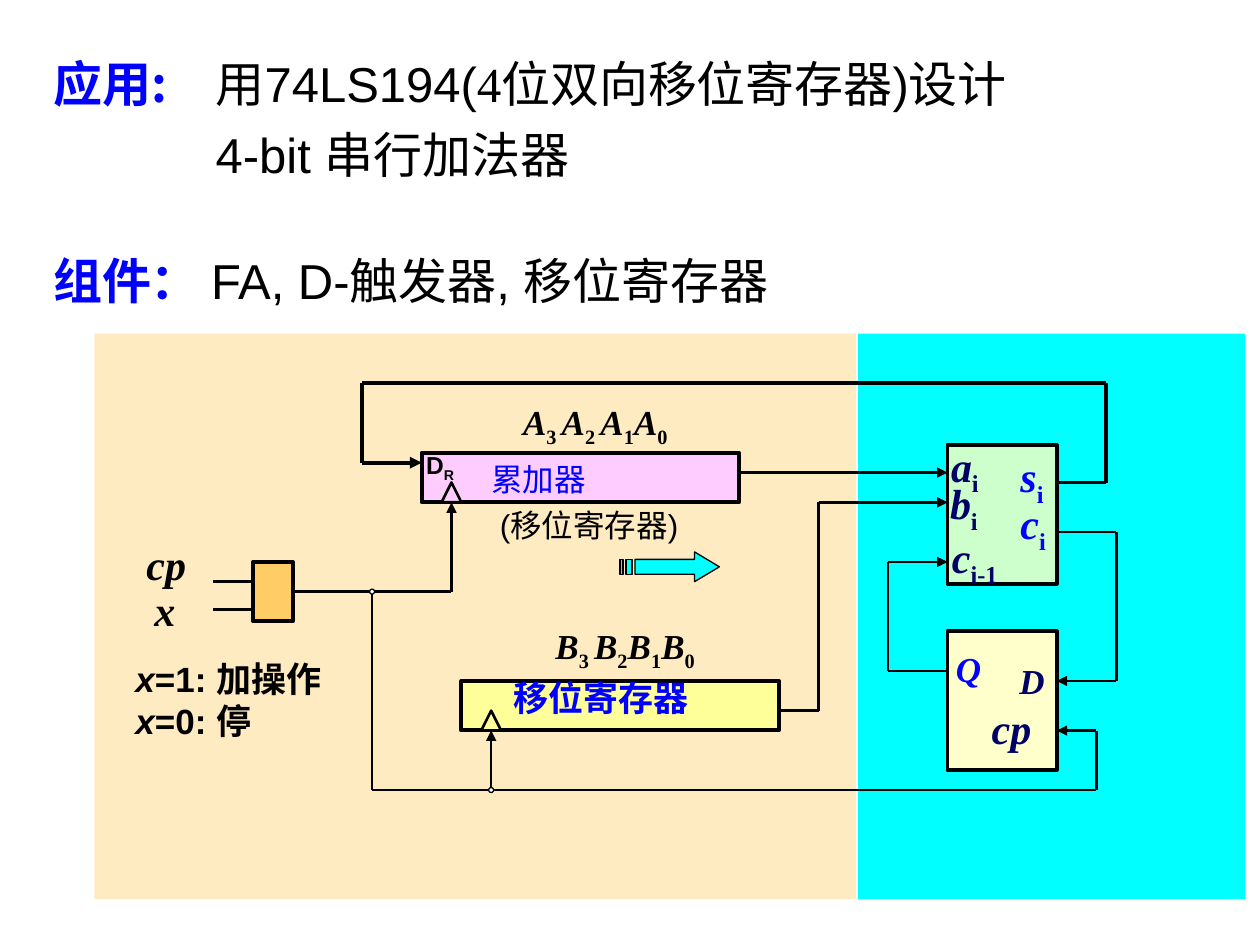
import itertools

import lxml.etree
import pptx
import pptx.dml.color
import pptx.enum.shapes
import pptx.enum.text
import pptx.oxml.ns
import pptx.util

SHAPE = pptx.enum.shapes.MSO_SHAPE
CENTER = pptx.enum.text.PP_ALIGN.CENTER
qn = pptx.oxml.ns.qn
UNIT = pptx.util.Mm(2)  # one column or row of the drawing grid
LEFT, TOP = pptx.util.Inches(0.04), pptx.util.Inches(0.05)

SERIF, SANS, CJK = "Times New Roman", "Arial", "Noto Sans CJK SC"
THEME = {
    "black": "000000", "white": "FFFFFF", "blue": "0000FF", "navy": "000066",
    "sand": "FFEBC2", "cyan": "00FFFF", "mint": "CCFFCC", "cream": "FFFFCC",
    "pink": "FFCCFF", "yellow": "FFFF99", "orange": "FFCC66",
    "thin": 0.75, "wire": 1.5, "heavy": 2.25,
    "heading": {"name": CJK, "size": 28, "bold": True, "color": "blue"},
    "symbol": {"name": SERIF, "size": 24, "bold": True, "italic": True, "color": "black"},
    "note": {"name": SANS, "size": 20, "bold": True, "color": "black"},
    "caption": {"name": SANS, "size": 18, "color": "blue"},
    "pin": {"name": SANS, "size": 14, "bold": True, "color": "black"},
}
SUB = {"italic": False, "base": -25}
ITALIC = {"italic": True}
NAVY, BLUE = {"color": "navy"}, {"color": "blue"}
BODY = {"bold": False, "color": "black"}
BODY_SANS = BODY | {"name": SANS}

deck = pptx.Presentation()
deck.slide_width, deck.slide_height = pptx.util.Inches(10), pptx.util.Inches(7.5)
page = deck.slides.add_slide(deck.slide_layouts[6])


def box(kind, col, row, cols, rows, fill, weight=None):
    shape = page.shapes.add_shape(kind, int(LEFT + col * UNIT), int(TOP + row * UNIT),
                                  int(cols * UNIT), int(rows * UNIT))
    shape.shadow.inherit = False
    shape.fill.solid()
    shape.fill.fore_color.rgb = pptx.dml.color.RGBColor.from_string(THEME[fill])
    if weight:
        shape.line.color.rgb = pptx.dml.color.RGBColor.from_string(THEME["black"])
        shape.line.width = pptx.util.Pt(THEME[weight])
    else:
        shape.line.fill.background()
    return shape


def label(col, row, cols, rows, style, paragraphs, align=None, gap=0, inset=0.1):
    frame = page.shapes.add_textbox(int(LEFT + col * UNIT), int(TOP + row * UNIT),
                                    int(cols * UNIT), int(rows * UNIT)).text_frame
    frame.word_wrap = True
    frame.margin_left = frame.margin_right = pptx.util.Inches(inset)
    for number, spans in enumerate(paragraphs):
        para = frame.add_paragraph() if number else frame.paragraphs[0]
        para.alignment = align
        if number:
            para.space_before = pptx.util.Pt(gap)
        for text, changes in spans:
            look = THEME[style] | changes
            span = para.add_run()
            span.text = text
            values = {"name": look["name"], "size": pptx.util.Pt(look["size"]),
                      "bold": look.get("bold", False), "italic": look.get("italic", False)}
            for name, value in values.items():
                setattr(span.font, name, value)
            span.font.color.rgb = pptx.dml.color.RGBColor.from_string(THEME[look["color"]])
            props = span._r.get_or_add_rPr()
            lxml.etree.SubElement(props, qn("a:ea")).set("typeface", CJK)
            if "base" in look:
                props.set("baseline", str(look["base"] * 1000))
    return frame


# Headings, with a hanging indent under the first one
title = label(3.6, 4.1, 125.5, 16, "heading", [
    [("应用:\t", {}), ("用", BODY), ("74LS194(", BODY_SANS),
     ("4", BODY | {"name": SERIF}), ("位双向移位寄存器", BODY), (")设计", BODY_SANS)],
    [("4-bit 串行加法器", BODY_SANS)]], gap=7)
hang = pptx.util.Inches(1.29)
for para, indent in zip(title.paragraphs, (-hang, 0)):
    props = para._p.get_or_add_pPr()
    props.set("marL", str(hang))
    props.set("indent", str(indent))
    tabs = lxml.etree.SubElement(props, qn("a:tabLst"))
    tab = lxml.etree.SubElement(tabs, qn("a:tab"))
    tab.set("pos", str(hang))
    tab.set("algn", "l")
label(3.6, 24, 93, 7.2, "heading",
      [[("组件： ", {}), ("FA, D-触发器, 移位寄存器", BODY_SANS)]])

# Panels and blocks
for col, cols, fill in ((9, 76.8, "sand"), (86, 39, "cyan")):
    box(SHAPE.RECTANGLE, col, 33, cols, 57, fill)
for row, fill in ((44.2, "mint"), (63, "cream")):
    box(SHAPE.RECTANGLE, 95, row, 11, 14, fill, "heavy")
for col, row, fill in ((42, 45, "pink"), (46, 68, "yellow")):
    box(SHAPE.RECTANGLE, col, row, 32, 5, fill, "heavy")
    box(SHAPE.ISOSCELES_TRIANGLE, col + 2, row + 3, 2, 2, fill, "wire")
gate = box(SHAPE.RECTANGLE, 25, 56, 4, 6, "orange", "heavy")

# Adder and flip-flop pins, gate inputs
for col, row, letter, index, changes in (
        (94.1, 43.1, "a", "i", NAVY), (94, 46.9, "b", "i", NAVY),
        (94.2, 52.3, "c", "i-1", NAVY), (101.1, 48.9, "c", "i", BLUE),
        (101.1, 44.2, "s", "i", BLUE), (101, 65.2, "D", "", NAVY | {"size": 20}),
        (98.2, 69.6, "cp", "", NAVY), (94.6, 64, "Q", "", BLUE | {"size": 20}),
        (13, 53, "cp", "", {}), (13.8, 57.7, "x", "", {})):
    spans = [(letter, changes)]
    if index:
        spans.append((index, changes | SUB))
    label(col, row, 8, 6.4, "symbol", [spans])

# Register bits: the second letter has a space before it
small = {"size": 20}
for col, row, cols, letter in ((46, 39.1, 27, "A"), (46, 61.7, 33, "B")):
    spans = []
    for bit in (3, 2, 1, 0):
        spaced = bit == 3 or (bit == 2 and letter == "A")
        spans += [(letter, small), (f"{bit} " if spaced else str(bit), small | SUB)]
    label(col, row, cols, 5.4, "symbol", [spans], align=CENTER)

# Captions
label(11.9, 65, 23, 9.8, "note", [[("x", ITALIC), ("=1: 加操作", {})],
                                  [("x", ITALIC), ("=0: 停", {})]])
label(50, 66.9, 36, 5.6, "note", [[("移位寄存器", BLUE)]])
accumulator = label(49, 45.1, 22, 11, "caption",
                    [[("累加器", {})], [("(移位寄存器)", {"color": "black"})]], gap=4.5, inset=0)
accumulator.paragraphs[1]._p.get_or_add_pPr().set("marL", str(pptx.util.Inches(0.07)))
label(41.2, 44.1, 11, 4.2, "pin", [[("D", {}), ("R", SUB)]])

# Wires: grid points, weight, arrow at the end, block at the start
for points, weight, arrow, source in (
        ([(21, 58), (25, 58)], "wire", False, None),
        ([(21, 60.8), (25, 60.8)], "wire", False, None),
        ([(29, 59), (45, 59), (45, 50)], "wire", True, gate),
        ([(37, 59), (37, 79), (110, 79), (110, 73), (106, 73)], "wire", True, None),
        ([(49, 79), (49, 73)], "wire", True, None),
        ([(74, 47), (95, 47)], "wire", True, None),
        ([(78, 71), (82, 71), (82, 50), (95, 50)], "wire", True, None),
        ([(95, 67), (89, 67), (89, 56), (95, 56)], "wire", True, None),
        ([(106, 48), (111, 48), (111, 38), (36, 38), (36, 46), (42, 46)], "heavy", True, None),
        ([(106, 53), (112, 53), (112, 68), (106, 68)], "wire", True, None)):
    for start, end in itertools.pairwise(points):
        wire = page.shapes.add_connector(
            pptx.enum.shapes.MSO_CONNECTOR.STRAIGHT,
            *(int(origin + place * UNIT) for point in (start, end)
              for origin, place in zip((LEFT, TOP), point)))
        wire.line.color.rgb = pptx.dml.color.RGBColor.from_string(THEME["black"])
        wire.line.width = pptx.util.Pt(THEME[weight])
        if arrow and end == points[-1]:
            head = lxml.etree.SubElement(wire.line._get_or_add_ln(), qn("a:tailEnd"))
            head.set("type", "triangle")
        lxml.etree.SubElement(wire._element.spPr, qn("a:effectLst"))
        if source is not None and start == points[0]:
            wire.begin_connect(source, 3)

# Junction dots
for col, row in ((49, 79), (37, 59)):
    box(SHAPE.OVAL, col - 0.25, row - 0.25, 0.5, 0.5, "white", "thin")

# Shift direction: an arrow trailed by two stripes
outlines = [[(69.5, 55), (69.5, 55.75), (63.5, 55.75), (63.5, 57.25),
             (69.5, 57.25), (69.5, 58), (72, 56.5)]]
outlines += [[(near, 55.75), (near, 57.25), (far, 57.25), (far, 55.75)]
             for near, far in ((62.6, 63.2), (62, 62.3))]
builder = None
for outline in outlines:
    first, *rest = [(int(LEFT + col * UNIT), int(TOP + row * UNIT)) for col, row in outline]
    if builder is None:
        builder = page.shapes.build_freeform(*first)
    else:
        builder.move_to(*first)
    builder.add_line_segments(rest, close=True)
shift = builder.convert_to_shape()
shift.shadow.inherit = False
shift.fill.solid()
shift.fill.fore_color.rgb = pptx.dml.color.RGBColor.from_string(THEME["cyan"])
shift.line.color.rgb = pptx.dml.color.RGBColor.from_string(THEME["black"])
shift.line.width = pptx.util.Pt(THEME["thin"])

deck.save("out.pptx")
